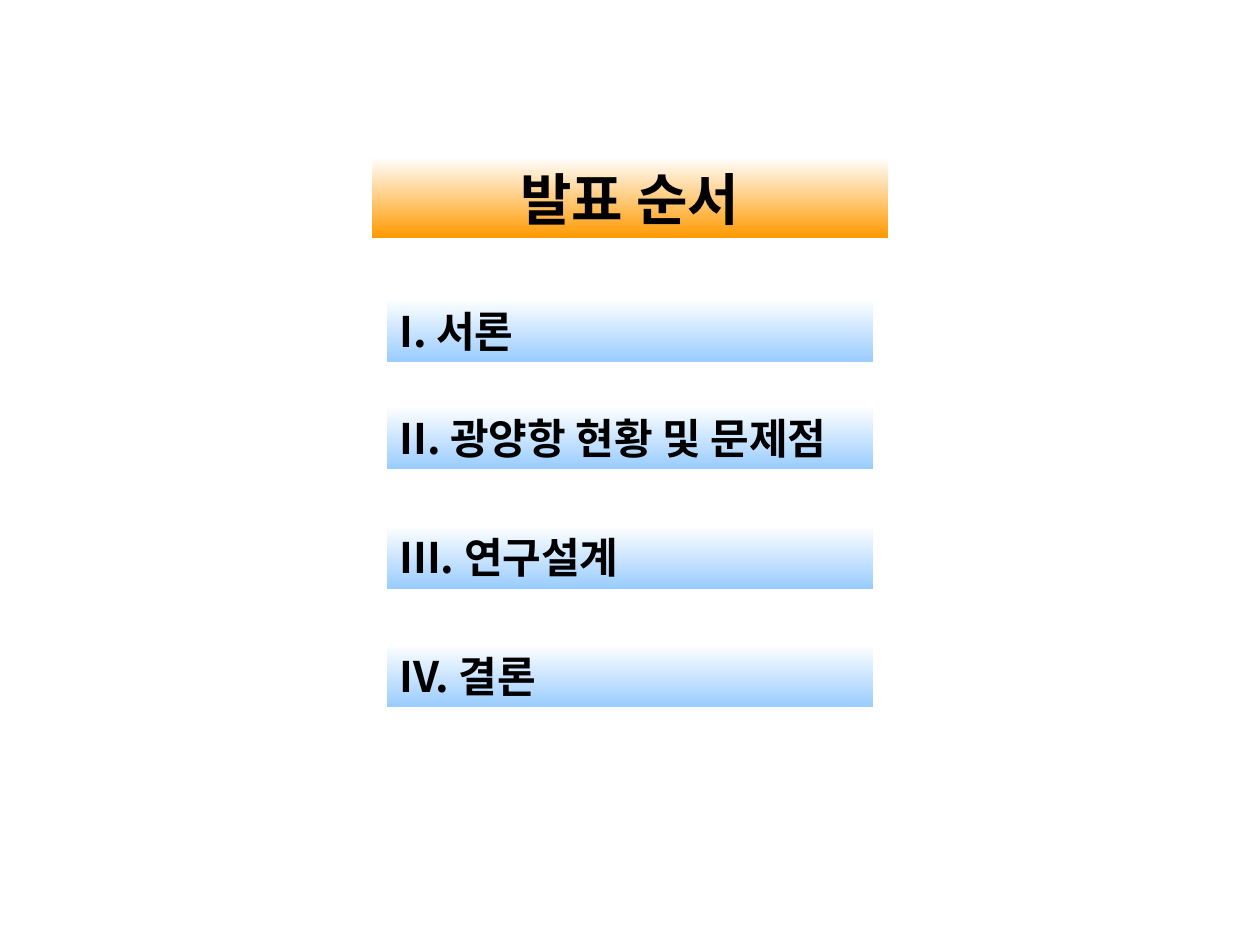
from dataclasses import dataclass

from lxml.etree import SubElement
from pptx import Presentation
from pptx.dml.color import RGBColor
from pptx.enum.shapes import MSO_SHAPE
from pptx.enum.text import MSO_ANCHOR, MSO_AUTO_SIZE, PP_ALIGN
from pptx.oxml.ns import qn
from pptx.slide import Slide
from pptx.util import Cm, Pt

WHITE = RGBColor(0xFF, 0xFF, 0xFF)
BLACK = RGBColor(0x00, 0x00, 0x00)
ORANGE = RGBColor(0xFF, 0x99, 0x00)
SKY_BLUE = RGBColor(0x99, 0xCC, 0xFF)
FONT = "Noto Sans CJK KR"
SLIDE_WIDTH = 25.4

FRAME_FORMAT = {
    "word_wrap": True,
    "auto_size": MSO_AUTO_SIZE.NONE,
    "vertical_anchor": MSO_ANCHOR.MIDDLE,
    "margin_top": 0,
    "margin_bottom": 0,
}


@dataclass(frozen=True)
class BarStyle:
    width: float
    height: float
    color: RGBColor
    size: int
    align: PP_ALIGN


@dataclass(frozen=True)
class Bar:
    text: str
    top: float
    style: BarStyle


HEADING = BarStyle(10.4, 1.63, ORANGE, 32, PP_ALIGN.CENTER)
CHAPTER = BarStyle(9.8, 1.28, SKY_BLUE, 24, PP_ALIGN.LEFT)

AGENDA = [
    Bar("발표 순서", 3.17, HEADING),
    Bar("I. 서론", 6.02, CHAPTER),
    Bar("II. 광양항 현황 및 문제점", 8.18, CHAPTER),
    Bar("III. 연구설계", 10.59, CHAPTER),
    Bar("IV. 결론", 12.98, CHAPTER),
]


def draw_bar(slide: Slide, bar: Bar) -> None:
    style = bar.style
    left = (SLIDE_WIDTH - style.width) / 2
    band = slide.shapes.add_shape(
        MSO_SHAPE.RECTANGLE, Cm(left), Cm(bar.top), Cm(style.width), Cm(style.height)
    )
    band.shadow.inherit = False
    band.line.fill.background()
    band.fill.gradient()
    band.fill.gradient_angle = 270
    for stop, color in zip(band.fill.gradient_stops, (WHITE, style.color)):
        stop.color.rgb = color

    frame = band.text_frame
    for name, value in FRAME_FORMAT.items():
        setattr(frame, name, value)
    paragraph = frame.paragraphs[0]
    paragraph.alignment = style.align
    label = paragraph.add_run()
    label.text = bar.text
    label.font.color.rgb = BLACK
    for name, value in {"name": FONT, "size": Pt(style.size), "bold": True}.items():
        setattr(label.font, name, value)
    SubElement(label._r.get_or_add_rPr(), qn("a:ea"), typeface=FONT)


def main() -> None:
    presentation = Presentation()
    presentation.slide_width = Cm(SLIDE_WIDTH)
    presentation.slide_height = Cm(19.05)
    slide = presentation.slides.add_slide(presentation.slide_layouts[6])
    for bar in AGENDA:
        draw_bar(slide, bar)
    presentation.save("out.pptx")


if __name__ == "__main__":
    main()
